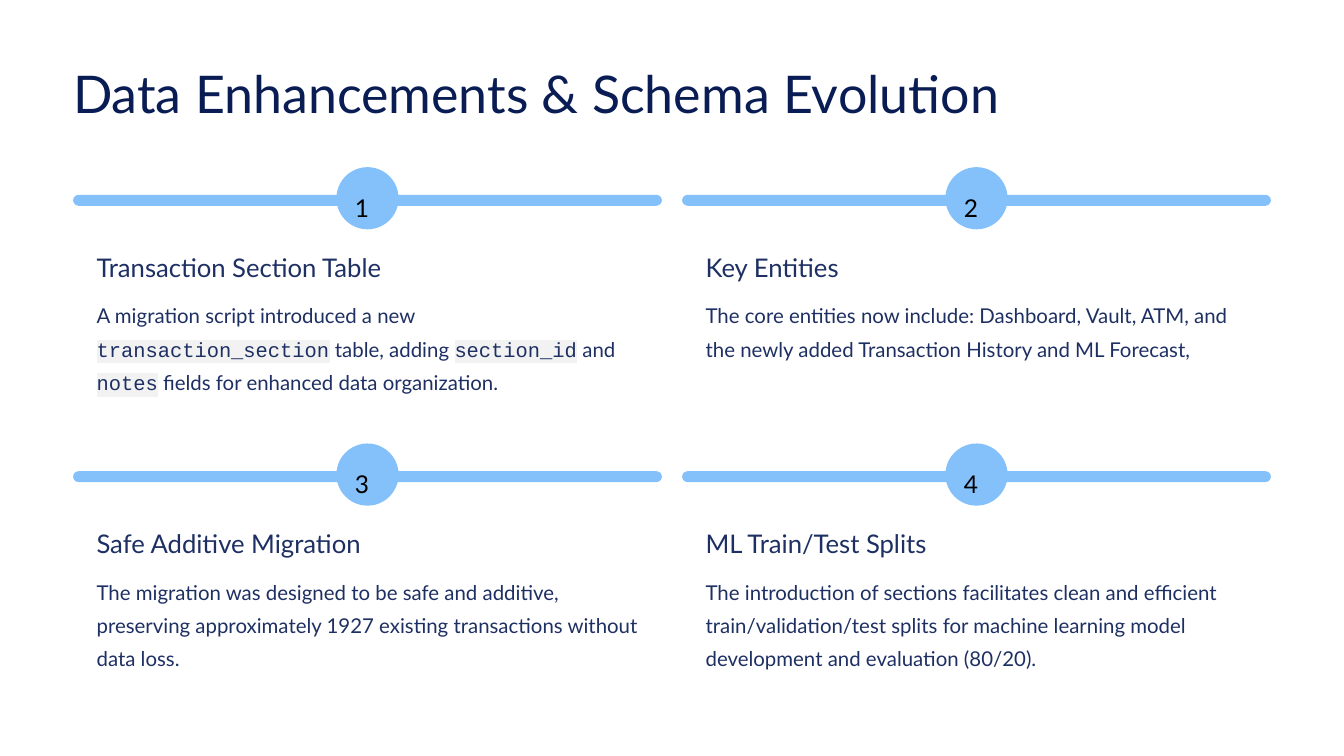
import pptx
import pptx.dml.color
import pptx.enum.shapes
import pptx.oxml
import pptx.oxml.ns
import pptx.util
from pptx.util import Inches

WHITE = "FFFFFF"
NAVY = "091C53"
INK = "1E3063"
SKY = "84C1FA"
CODE_SHADE = "F2F2F2"

COLUMN_LEFT, COLUMN_STEP = 0.87, 7.25
ROW_TOP, ROW_STEP = 1.99, 3.29
CARD_WIDTH = 7.01
BADGE_SIZE = 0.74

SECTIONS = [
    ("Transaction Section Table",
     "A migration script introduced a new `transaction_section` table, adding "
     "`section_id` and `notes` fields for enhanced data organization."),
    ("Key Entities",
     "The core entities now include: Dashboard, Vault, ATM, and the newly added "
     "Transaction History and ML Forecast,"),
    ("Safe Additive Migration",
     "The migration was designed to be safe and additive, preserving approximately "
     "1927 existing transactions without data loss."),
    ("ML Train/Test Splits",
     "The introduction of sections facilitates clean and efficient train/validation/test "
     "splits for machine learning model development and evaluation (80/20)."),
]


def rgb(value):
    return pptx.dml.color.RGBColor.from_string(value)


def add_rounded(slide, left, top, width, height, color, rounding=0.5):
    shape = slide.shapes.add_shape(
        pptx.enum.shapes.MSO_SHAPE.ROUNDED_RECTANGLE,
        Inches(left), Inches(top), Inches(width), Inches(height))
    shape.adjustments[0] = rounding
    shape.shadow.inherit = False
    shape.fill.solid()
    shape.fill.fore_color.rgb = rgb(color)
    shape.line.fill.background()


def highlight(run, color):
    namespace = pptx.oxml.ns.nsdecls("a")
    element = pptx.oxml.parse_xml(
        f'<a:highlight {namespace}><a:srgbClr val="{color}"/></a:highlight>')
    latin = run.font._element.find(pptx.oxml.ns.qn("a:latin"))
    latin.addprevious(element)


def add_text(slide, text, left, top, width, height, size, spacing, color, wrap=False):
    box = slide.shapes.add_textbox(
        Inches(left), Inches(top), Inches(width), Inches(height))
    frame = box.text_frame
    frame.word_wrap = wrap
    frame.margin_left = frame.margin_right = 0
    frame.margin_top = frame.margin_bottom = 0
    paragraph = frame.paragraphs[0]
    paragraph.line_spacing = pptx.util.Pt(spacing)
    for index, piece in enumerate(text.split("`")):
        is_code = index % 2 == 1
        run = paragraph.add_run()
        run.text = piece
        run.font.size = pptx.util.Pt(size)
        run.font.color.rgb = rgb(color)
        run.font.name = "Courier New" if is_code else "Lato"
        if is_code:
            highlight(run, CODE_SHADE)


def add_section(slide, index, heading, body):
    row, column = divmod(index, 2)
    left = COLUMN_LEFT + column * COLUMN_STEP
    top = ROW_TOP + row * ROW_STEP
    badge_left = left + (CARD_WIDTH - BADGE_SIZE) / 2
    text_left = left + 0.28
    add_rounded(slide, left, top + 0.37, CARD_WIDTH, 2.65, WHITE, 0.06)
    add_rounded(slide, left, top + 0.33, CARD_WIDTH, 0.13, SKY)
    add_rounded(slide, badge_left, top, BADGE_SIZE, BADGE_SIZE, SKY)
    add_text(slide, str(index + 1), badge_left + 0.22, top + 0.18, 0.3, 0.37,
             21, 34, "000000")
    add_text(slide, heading, text_left, top + 0.99, 3.4, 0.39, 22, 27.5, INK)
    add_text(slide, body, text_left, top + 1.52, 6.45, 1.19, 17.5, 28.5, INK, wrap=True)


def main():
    presentation = pptx.Presentation()
    presentation.slide_width = Inches(16)
    presentation.slide_height = Inches(9)
    slide = presentation.slides.add_slide(presentation.slide_layouts[6])
    slide.background.fill.solid()
    slide.background.fill.fore_color.rgb = rgb(WHITE)
    add_text(slide, "Data Enhancements & Schema Evolution",
             COLUMN_LEFT, 0.71, 11.9, 0.78, 44.5, 55.5, NAVY)
    for index, (heading, body) in enumerate(SECTIONS):
        add_section(slide, index, heading, body)
    presentation.save("out.pptx")


if __name__ == "__main__":
    main()
